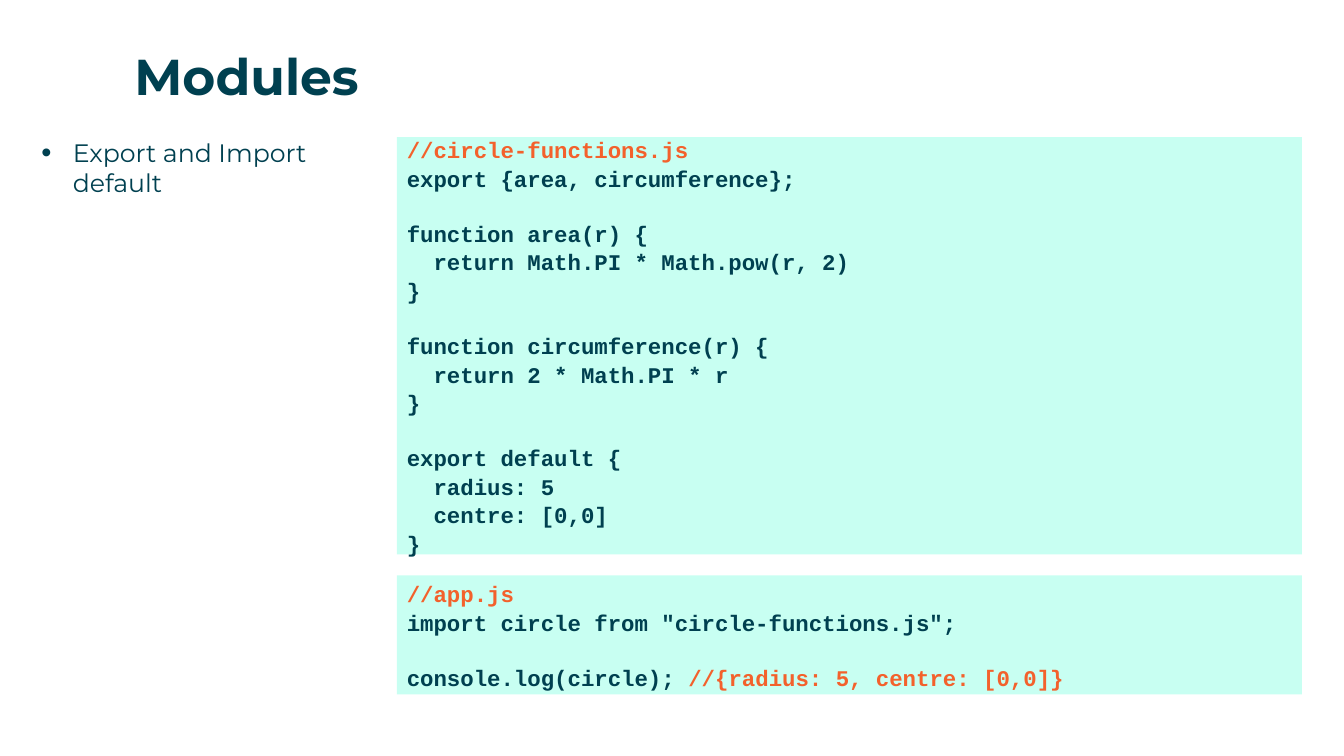
from lxml.etree import SubElement
from pptx import Presentation
from pptx.dml.color import RGBColor
from pptx.enum.shapes import MSO_SHAPE
from pptx.enum.text import MSO_ANCHOR, PP_ALIGN
from pptx.oxml.ns import qn
from pptx.util import Pt

COLORS = {"ink": "004050", "comment": "F3612C", "panel": "C8FFF2"}
TITLE_FONT = {"name": "Montserrat", "size": Pt(36), "bold": True}
BULLET_FONT = {"name": "Montserrat", "size": Pt(18), "bold": False}
CODE_FONT = {"name": "Courier New", "size": Pt(16), "bold": True}
NO_INSETS = {"margin_left": 0, "margin_top": 0, "margin_right": 0,
             "margin_bottom": 0, "word_wrap": True,
             "vertical_anchor": MSO_ANCHOR.TOP}
CODE_FRAME = {"word_wrap": True, "vertical_anchor": MSO_ANCHOR.MIDDLE}
LINE_SPACING = 1.06
CODE_LINE = Pt(19.2)

CIRCLE_CODE = """//circle-functions.js
export {area, circumference};

function area(r) {
  return Math.PI * Math.pow(r, 2)
}

function circumference(r) {
  return 2 * Math.PI * r
}

export default {
  radius: 5
  centre: [0,0]
}"""

APP_CODE = """//app.js
import circle from "circle-functions.js";

console.log(circle); //{radius: 5, centre: [0,0]}"""


def apply_format(target, values):
    for attribute, value in values.items():
        setattr(target, attribute, value)


def add_run(paragraph, wording, font, color):
    run = paragraph.add_run()
    run.text = wording
    apply_format(run.font, font)
    run.font.color.rgb = RGBColor.from_string(COLORS[color])


def place_title(slide, wording):
    title = slide.shapes.title
    apply_format(title, {"left": Pt(96), "top": Pt(29.5),
                         "width": Pt(834.5), "height": Pt(41)})
    apply_format(title.text_frame, NO_INSETS)
    heading = title.text_frame.paragraphs[0]
    apply_format(heading, {"alignment": PP_ALIGN.LEFT,
                           "line_spacing": LINE_SPACING})
    add_run(heading, wording, TITLE_FONT, "ink")


def add_bullet(slide, wording):
    topic = slide.shapes.add_textbox(Pt(29.5), Pt(98), Pt(253.5), Pt(412.5))
    apply_format(topic.text_frame, NO_INSETS)
    point = topic.text_frame.paragraphs[0]
    properties = point._p.get_or_add_pPr()
    properties.set("marL", str(Pt(22.5)))
    properties.set("indent", str(-Pt(22.5)))
    SubElement(properties, qn("a:buSzPct"), val="115000")
    SubElement(properties, qn("a:buFont"), typeface="Arial")
    SubElement(properties, qn("a:buChar"), char="•")
    point.space_after = Pt(6.5)
    add_run(point, wording, BULLET_FONT, "ink")


def add_code(slide, top, height, code):
    panel = slide.shapes.add_shape(MSO_SHAPE.RECTANGLE, Pt(283.5), top,
                                   Pt(646.5), height)
    panel.shadow.inherit = False
    panel.fill.solid()
    panel.fill.fore_color.rgb = RGBColor.from_string(COLORS["panel"])
    panel.line.fill.background()
    frame = panel.text_frame
    apply_format(frame, CODE_FRAME)

    # An empty code line becomes space before the next line
    line = frame.paragraphs[0]
    for block_index, block in enumerate(code.split("\n\n")):
        for line_index, wording in enumerate(block.split("\n")):
            if block_index or line_index:
                line = frame.add_paragraph()
            apply_format(line, {"alignment": PP_ALIGN.LEFT,
                                "line_spacing": LINE_SPACING})
            if block_index and not line_index:
                line.space_before = CODE_LINE
            statement, slashes, comment = wording.partition("//")
            if statement:
                add_run(line, statement, CODE_FONT, "ink")
            if slashes:
                add_run(line, slashes + comment, CODE_FONT, "comment")


def main():
    presentation = Presentation()
    presentation.slide_width = Pt(960)
    presentation.slide_height = Pt(540)
    slide = presentation.slides.add_slide(presentation.slide_layouts[5])

    # Heading and topic
    place_title(slide, "Modules")
    add_bullet(slide, "Export and Import default")

    # Code panels
    add_code(slide, Pt(411), Pt(85), APP_CODE)
    add_code(slide, Pt(98), Pt(298), CIRCLE_CODE)

    presentation.save("out.pptx")


if __name__ == "__main__":
    main()
